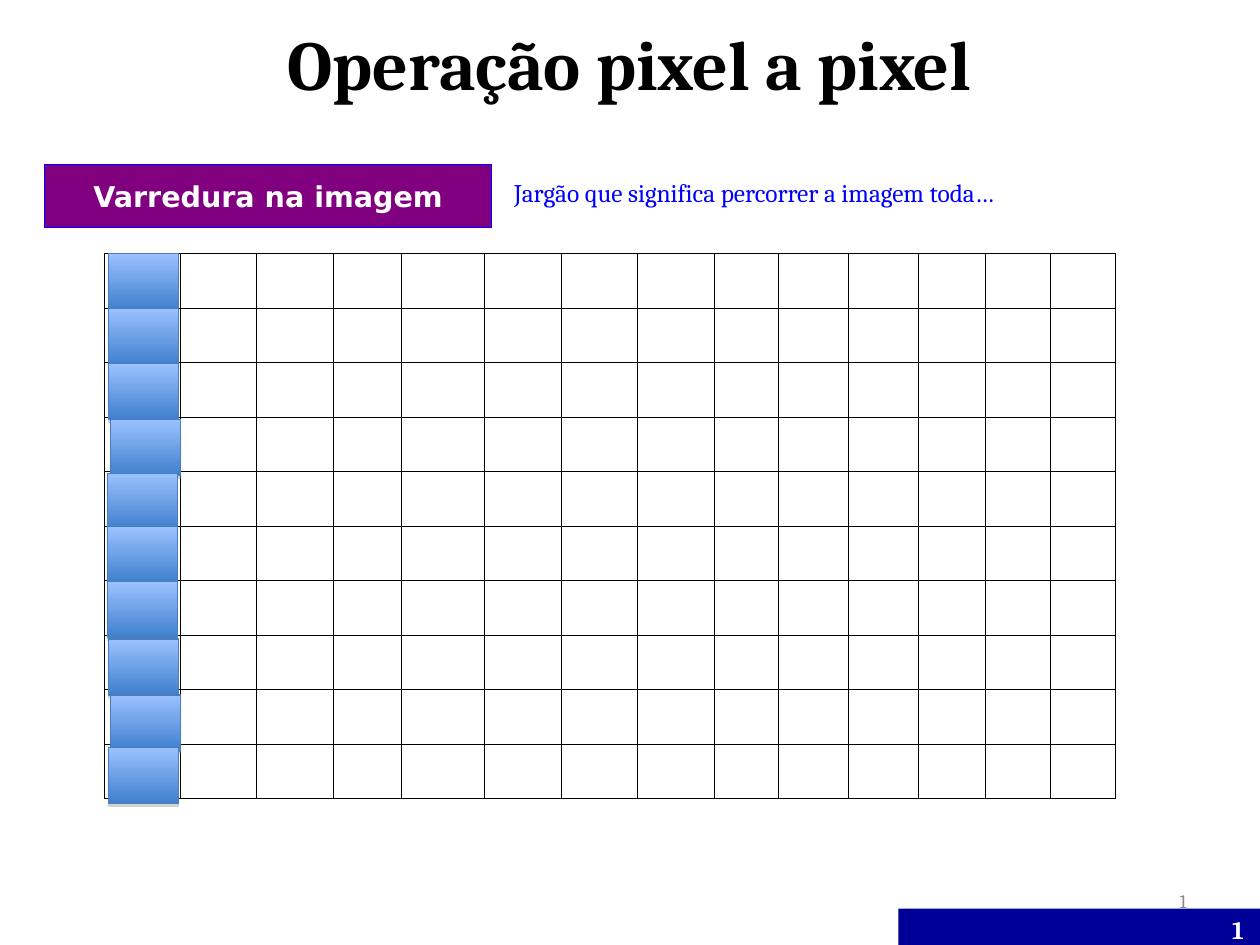
from lxml.etree import SubElement
from pptx import Presentation
from pptx.dml.color import RGBColor
from pptx.enum.shapes import MSO_SHAPE
from pptx.enum.text import MSO_ANCHOR, MSO_AUTO_SIZE, PP_ALIGN
from pptx.oxml.ns import qn
from pptx.util import Cm, Inches, Pt

SLIDE_WIDTH, SLIDE_HEIGHT = Cm(28), Cm(21)
TITLE = "Operação pixel a pixel"
SCAN_LABEL = "Varredura na imagem"
JARGON_NOTE = "Jargão que significa percorrer a imagem toda…"

GRID_BOX = (0.91, 2.22, 8.85, 4.77)
COLUMN_SHARES = [0.67, 0.67, 0.67, 0.6, 0.73, 0.67, 0.67,
                 0.67, 0.57, 0.61, 0.61, 0.59, 0.57, 0.57]
ROW_COUNT = 10

PIXEL_SIZE = (0.61, 0.49)
PIXEL_CORNERS = [(0.95, 2.22), (0.95, 2.7), (0.95, 3.18), (0.97, 3.67), (0.94, 4.14),
                 (0.94, 4.61), (0.94, 5.09), (0.95, 5.59), (0.97, 6.08), (0.95, 6.54)]
PIXEL_GRADIENT = ("9BC1FF", "3F80CD")

TITLE_FORMAT = {"name": "Cambria", "size": Pt(44), "bold": True}
LABEL_FORMAT = {"name": "DejaVu Sans", "size": Pt(18), "bold": True}
NOTE_FORMAT = {"name": "Cambria", "size": Pt(16), "bold": False}
NUMBER_FORMAT = {"name": "Cambria", "size": Pt(12), "bold": False}
FOOTER_FORMAT = {"name": "Cambria", "size": Pt(16), "bold": True}


def color(value):
    return RGBColor.from_string(value)


def inches(values):
    return [Inches(value) for value in values]


def write(shape, text, font_format, font_color, align, anchor=MSO_ANCHOR.MIDDLE, wrap=True):
    frame = shape.text_frame
    frame.auto_size = MSO_AUTO_SIZE.NONE
    frame.word_wrap = wrap
    frame.vertical_anchor = anchor
    paragraph = frame.paragraphs[0]
    paragraph.alignment = align
    run = paragraph.add_run()
    run.text = text
    for name, value in font_format.items():
        setattr(run.font, name, value)
    run.font.color.rgb = color(font_color)


def add_rectangle(slide, box, fill, line=None):
    """Add a flat rectangle; a pair of fill colours makes a downward gradient."""
    shape = slide.shapes.add_shape(MSO_SHAPE.RECTANGLE, *inches(box))
    shape.shadow.inherit = False
    if isinstance(fill, tuple):
        shape.fill.gradient()
        shape.fill.gradient_angle = 270
        for stop, value, position in zip(shape.fill.gradient_stops, fill, (0, 1)):
            stop.color.rgb = color(value)
            stop.position = position
    else:
        shape.fill.solid()
        shape.fill.fore_color.rgb = color(fill)
    if line:
        shape.line.color.rgb = color(line)
        shape.line.width = Pt(0.75)
    else:
        shape.line.fill.background()
    return shape


def add_drop_shadow(shape):
    effects = shape._element.spPr.find(qn("a:effectLst"))
    shadow = SubElement(effects, qn("a:outerShdw"), blurRad="0", dist=str(Pt(1.8)),
                        dir="5400000", rotWithShape="0")
    tint = SubElement(shadow, qn("a:srgbClr"), val="808080")
    SubElement(tint, qn("a:alpha"), val="35000")


def set_borders(cell):
    properties = cell._tc.get_or_add_tcPr()
    for side in ("lnL", "lnR", "lnT", "lnB"):
        border = SubElement(properties, qn(f"a:{side}"), w=str(Pt(0.45)))
        fill = SubElement(border, qn("a:solidFill"))
        SubElement(fill, qn("a:srgbClr"), val="000000")


def add_grid(slide):
    left, top, width, height = inches(GRID_BOX)
    table = slide.shapes.add_table(ROW_COUNT, len(COLUMN_SHARES), left, top, width, height).table
    table.first_row = table.horz_banding = False
    for column, share in zip(table.columns, COLUMN_SHARES):
        column.width = round(width * share / sum(COLUMN_SHARES))
    for row in table.rows:
        row.height = round(height / ROW_COUNT)
    for cell in table.iter_cells():
        set_borders(cell)
        cell.fill.background()


def main():
    presentation = Presentation()
    presentation.slide_width, presentation.slide_height = SLIDE_WIDTH, SLIDE_HEIGHT
    slide = presentation.slides.add_slide(presentation.slide_layouts[5])

    title = slide.shapes.title
    title.left, title.top, title.width, title.height = inches((0, 0.13, 11.02, 0.93))
    write(title, TITLE, TITLE_FORMAT, "000000", PP_ALIGN.CENTER, MSO_ANCHOR.TOP)

    footer = add_rectangle(slide, (7.86, 7.95, 3.17, 0.36), "000099")
    write(footer, "1 ", FOOTER_FORMAT, "FFFFFF", PP_ALIGN.RIGHT)
    number = slide.shapes.add_textbox(*inches((8.9, 7.66, 1.58, 0.44)))
    write(number, "1", NUMBER_FORMAT, "898989", PP_ALIGN.RIGHT)

    add_grid(slide)
    label = add_rectangle(slide, (0.39, 1.44, 3.91, 0.55), "800080", "0000FF")
    write(label, SCAN_LABEL, LABEL_FORMAT, "FFFFFF", PP_ALIGN.CENTER, wrap=False)
    for corner in PIXEL_CORNERS:
        add_drop_shadow(add_rectangle(slide, corner + PIXEL_SIZE, PIXEL_GRADIENT, "4A7EBB"))

    note = slide.shapes.add_textbox(*inches((4.4, 1.5, 5.99, 0.37)))
    write(note, JARGON_NOTE, NOTE_FORMAT, "0000FF", PP_ALIGN.LEFT, MSO_ANCHOR.TOP)

    presentation.save("out.pptx")


if __name__ == "__main__":
    main()
